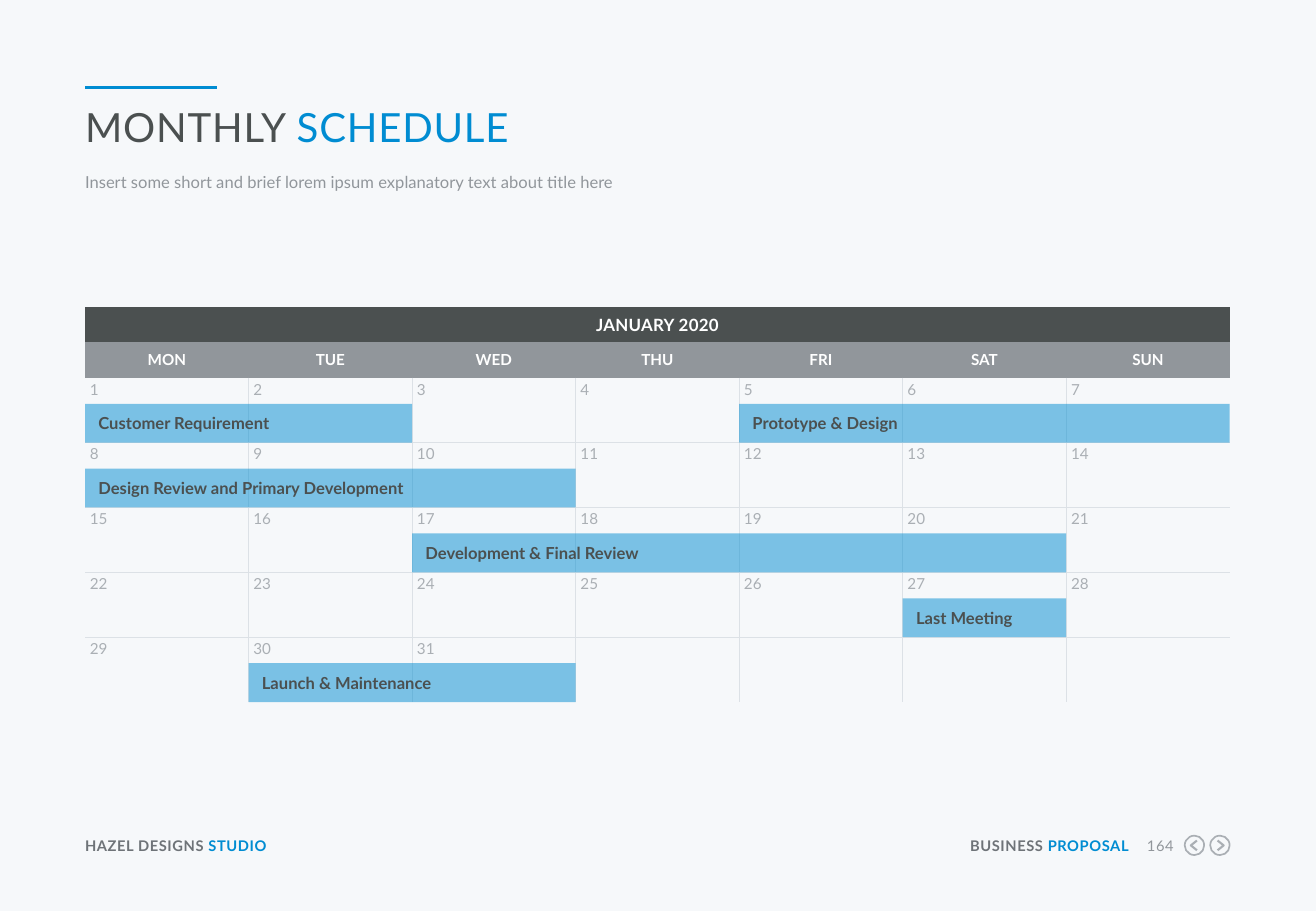
"""Build a monthly schedule slide with a calendar table and task bars."""
from dataclasses import dataclass

from lxml.etree import SubElement
from pptx import Presentation
from pptx.dml.color import RGBColor
from pptx.enum.shapes import MSO_CONNECTOR, MSO_SHAPE
from pptx.enum.text import MSO_ANCHOR, MSO_AUTO_SIZE, PP_ALIGN
from pptx.oxml import parse_xml
from pptx.oxml.ns import nsdecls, qn
from pptx.util import Inches, Pt


@dataclass(frozen=True)
class Theme:
    font: str = "Lato"
    background: str = "F6F8FA"
    accent: str = "008CD2"
    dark: str = "4B5050"
    footer: str = "6E7378"
    muted: str = "91969B"
    pale: str = "AAAFB4"
    grid: str = "DCE1E6"
    white: str = "FFFFFF"
    title_size: float = 23.8
    body_size: float = 9.8
    month_size: float = 10
    day_size: float = 9
    footer_size: float = 8.7


THEME = Theme()
LEFT, WIDTH = 0.7, 9.42
CALENDAR_TOP, CALENDAR_HEIGHT = 2.53, 3.25
HEADER_HEIGHT, BAR_HEIGHT = 0.29, 0.32
WEEKDAYS = ["MON", "TUE", "WED", "THU", "FRI", "SAT", "SUN"]
WEEKS, LAST_DAY = 5, 31
DAY_WIDTH = WIDTH / len(WEEKDAYS)
WEEK_HEIGHT = (CALENDAR_HEIGHT - 2 * HEADER_HEIGHT) / WEEKS
TASKS = [
    ("Customer Requirement", 1, 2),
    ("Prototype & Design", 5, 7),
    ("Development & Final Review", 17, 20),
    ("Design Review and Primary Development", 8, 10),
    ("Launch & Maintenance", 30, 31),
    ("Last Meeting", 27, 27),
]


def color(value):
    return RGBColor.from_string(value)


def write(frame, parts, size, bold=False, align=PP_ALIGN.LEFT, spacing=0):
    """Fill the first paragraph with (text, colour) parts."""
    para = frame.paragraphs[0]
    para.alignment = align
    para.font.name = THEME.font
    para.font.size = Pt(size)
    para.font.bold = bold
    for text, tint in parts:
        span = para.add_run()
        span.text = text
        if len(parts) > 1:
            span.font.color.rgb = color(tint)
        else:
            para.font.color.rgb = color(tint)
        if spacing:
            span.font._element.set("spc", str(round(spacing * 100)))
    return para


def set_frame(frame, left_inset=0, anchor=MSO_ANCHOR.TOP):
    frame.word_wrap = True
    frame.auto_size = MSO_AUTO_SIZE.NONE
    frame.vertical_anchor = anchor
    frame.margin_left = Inches(left_inset)
    frame.margin_right = frame.margin_top = frame.margin_bottom = 0


def add_label(page, left, top, width, height, parts, size, **style):
    box = page.shapes.add_textbox(Inches(left), Inches(top), Inches(width), Inches(height))
    set_frame(box.text_frame)
    return write(box.text_frame, parts, size, **style)


def add_title(page):
    rule = page.shapes.add_connector(
        MSO_CONNECTOR.STRAIGHT, Inches(LEFT), Inches(0.72), Inches(1.79), Inches(0.72))
    rule.line.color.rgb = color(THEME.accent)
    rule.line.width = Pt(2.25)
    SubElement(rule._element.spPr, qn("a:effectLst"))
    title = page.shapes.title
    title.left, title.top = Inches(LEFT), Inches(0.84)
    title.width, title.height = Inches(WIDTH), Inches(0.41)
    set_frame(title.text_frame)
    write(title.text_frame, [("MONTHLY ", THEME.dark), ("SCHEDULE", THEME.accent)],
          THEME.title_size, spacing=0.5)
    subtitle = "Insert some short and brief lorem ipsum explanatory text about title here"
    para = add_label(page, LEFT, 1.4, WIDTH, 0.21, [(subtitle, THEME.muted)], THEME.body_size)
    para.line_spacing = Pt(13)


def set_borders(cell, visible):
    """Draw the visible sides of a cell and clear the others."""
    properties = cell._tc.get_or_add_tcPr()
    for index, side in enumerate("LRTB"):
        paint = (f'<a:solidFill><a:srgbClr val="{THEME.grid}"/></a:solidFill>'
                 if side in visible else "<a:noFill/>")
        properties.insert(index, parse_xml(
            f'<a:ln{side} {nsdecls("a")} w="{Pt(0.5)}">{paint}</a:ln{side}>'))


def set_cell(cell, text, size, tint, fill=None, borders="", **style):
    cell.margin_left = cell.margin_right = Inches(0.04)
    cell.margin_top = cell.margin_bottom = Inches(0.02)
    if fill:
        cell.fill.solid()
        cell.fill.fore_color.rgb = color(fill)
        cell.vertical_anchor = MSO_ANCHOR.MIDDLE
    else:
        cell.fill.background()
    set_borders(cell, borders)
    write(cell.text_frame, [(text, tint)] if text else [], size, **style)


def day_borders(week, column):
    rules = {"L": column > 0, "R": column < len(WEEKDAYS) - 1,
             "T": week > 0, "B": week < WEEKS - 1}
    return [side for side, shown in rules.items() if shown]


def add_calendar(page):
    table = page.shapes.add_table(
        WEEKS + 2, len(WEEKDAYS), Inches(LEFT), Inches(CALENDAR_TOP),
        Inches(WIDTH), Inches(CALENDAR_HEIGHT)).table
    table.first_row = table.horz_banding = False
    for index, row in enumerate(table.rows):
        row.height = Inches(HEADER_HEIGHT if index < 2 else WEEK_HEIGHT)
    header = {"bold": True, "align": PP_ALIGN.CENTER}
    for column, weekday in enumerate(WEEKDAYS):
        table.columns[column].width = Inches(DAY_WIDTH)
        set_cell(table.cell(0, column), "" if column else "JANUARY 2020", THEME.month_size,
                 THEME.white, THEME.dark, spacing=0.2, **header)
        set_cell(table.cell(1, column), weekday, THEME.day_size, THEME.white,
                 THEME.muted, **header)
        for week in range(WEEKS):
            day = week * len(WEEKDAYS) + column + 1
            set_cell(table.cell(week + 2, column), str(day) if day <= LAST_DAY else "",
                     THEME.day_size, THEME.pale, borders=day_borders(week, column))
    table.cell(0, 0).merge(table.cell(0, len(WEEKDAYS) - 1))


def add_task(page, name, first_day, last_day):
    """Lay a translucent bar along the bottom of the days it covers."""
    week, column = divmod(first_day - 1, len(WEEKDAYS))
    week_bottom = CALENDAR_TOP + 2 * HEADER_HEIGHT + (week + 1) * WEEK_HEIGHT
    bar = page.shapes.add_shape(
        MSO_SHAPE.RECTANGLE, Inches(LEFT + column * DAY_WIDTH),
        Inches(week_bottom - BAR_HEIGHT),
        Inches((last_day - first_day + 1) * DAY_WIDTH), Inches(BAR_HEIGHT))
    bar.shadow.inherit = False
    bar.line.fill.background()
    bar.fill.solid()
    bar.fill.fore_color.rgb = color(THEME.accent)
    tint = bar._element.spPr.find(qn("a:solidFill")).find(qn("a:srgbClr"))
    SubElement(tint, qn("a:alpha"), val="50000")
    set_frame(bar.text_frame, 0.11, MSO_ANCHOR.MIDDLE)
    write(bar.text_frame, [(name, THEME.dark)], THEME.body_size, bold=True)


def add_arrow_button(page, center, direction):
    """Draw a ringed chevron pointing left (-1) or right (1)."""
    middle, radius = 6.96, 0.08
    ring = page.shapes.add_shape(
        MSO_SHAPE.OVAL, Inches(center - radius), Inches(middle - radius),
        Inches(2 * radius), Inches(2 * radius))
    tip, tail = center + direction * 0.03, center - direction * 0.02
    builder = page.shapes.build_freeform(Inches(tail), Inches(middle - 0.04))
    builder.add_line_segments(
        [(Inches(tip), Inches(middle)), (Inches(tail), Inches(middle + 0.04))], close=False)
    for shape, weight in ((ring, 1), (builder.convert_to_shape(), 1.25)):
        shape.shadow.inherit = False
        shape.fill.background()
        shape.line.color.rgb = color(THEME.pale)
        shape.line.width = Pt(weight)


def add_footer(page):
    labels = [
        (LEFT, 2.11, [("HAZEL DESIGNS ", THEME.footer), ("STUDIO", THEME.accent)],
         True, PP_ALIGN.LEFT),
        (7.92, 1.37, [("BUSINESS ", THEME.footer), ("PROPOSAL", THEME.accent)],
         True, PP_ALIGN.RIGHT),
        (9.36, 0.3, [("164", THEME.muted)], False, PP_ALIGN.RIGHT),
    ]
    for left, width, parts, bold, align in labels:
        add_label(page, left, 6.89, width, 0.15, parts, THEME.footer_size,
                  bold=bold, align=align, spacing=0.3)
    add_arrow_button(page, 9.83, -1)
    add_arrow_button(page, 10.04, 1)


def main():
    deck = Presentation()
    deck.slide_width, deck.slide_height = Inches(10.83), Inches(7.5)
    page = deck.slides.add_slide(deck.slide_layouts[5])
    page.background.fill.solid()
    page.background.fill.fore_color.rgb = color(THEME.background)
    add_title(page)
    add_calendar(page)
    for task in TASKS:
        add_task(page, *task)
    add_footer(page)
    deck.save("out.pptx")


if __name__ == "__main__":
    main()
